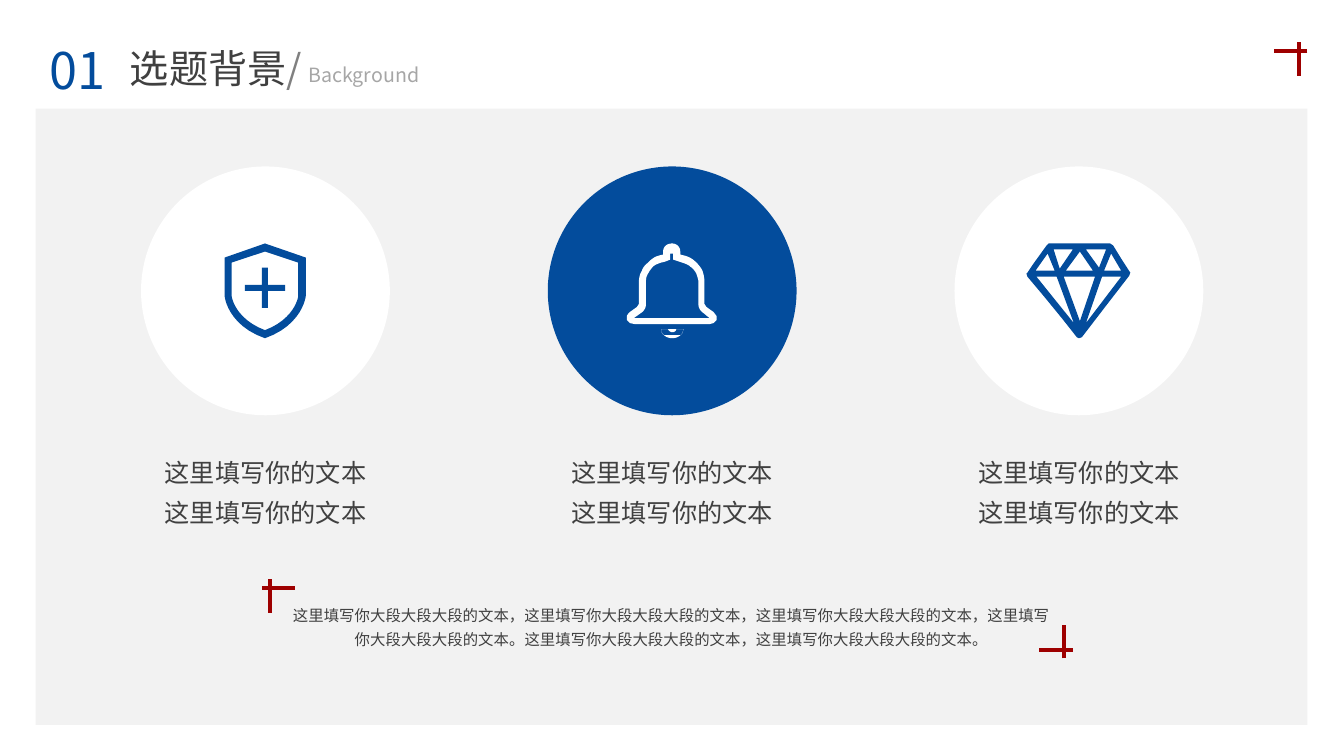
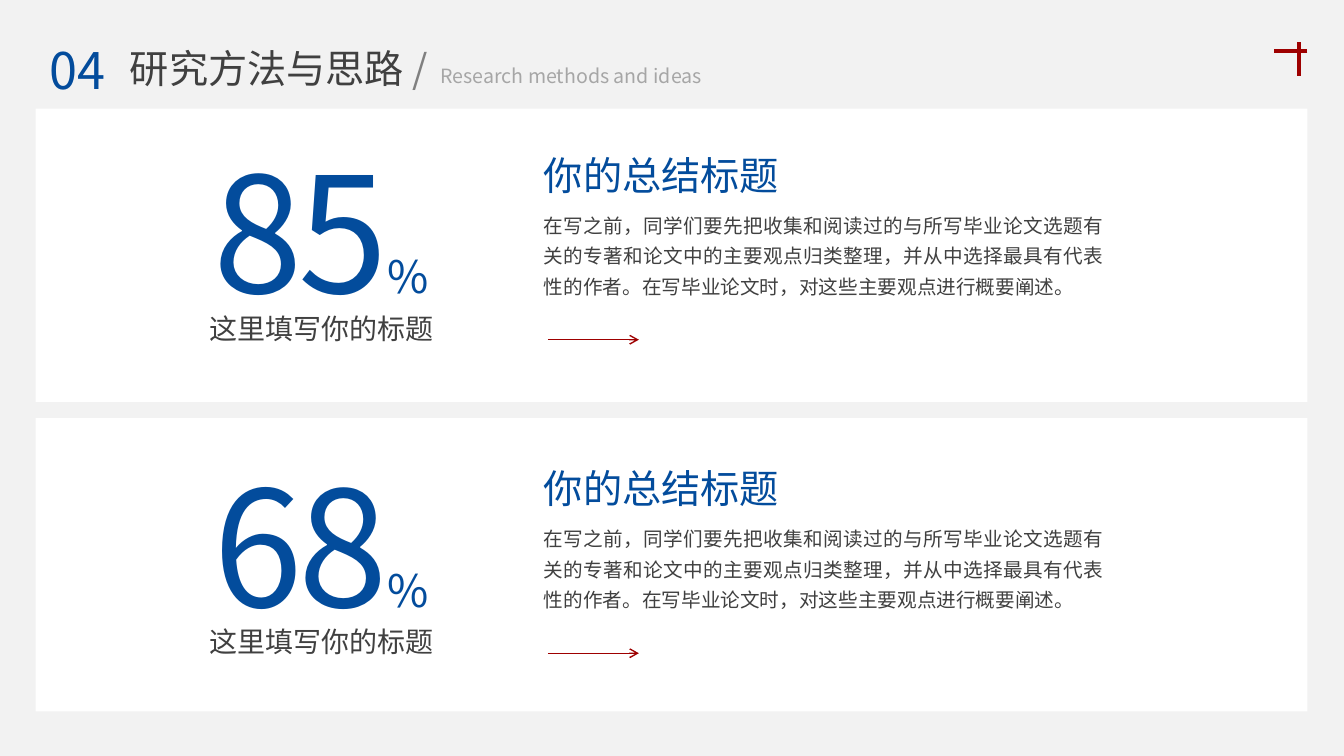
from dataclasses import dataclass

from lxml import etree
from pptx import Presentation
from pptx.dml.color import RGBColor
from pptx.enum.shapes import MSO_CONNECTOR, MSO_SHAPE
from pptx.enum.text import MSO_ANCHOR, MSO_AUTO_SIZE, PP_ALIGN
from pptx.oxml.ns import qn
from pptx.util import Cm, Pt

# Shared look
COLORS = {
    "white": "FFFFFF", "pale": "F2F2F2", "blue": "034C9C", "red": "9E0000",
    "text": "404040", "slash": "808080", "subtitle": "A6A6A6",
}
FONT = "Noto Sans CJK SC"
RECTANGLE, OVAL = MSO_SHAPE.RECTANGLE, MSO_SHAPE.OVAL
STRAIGHT = MSO_CONNECTOR.STRAIGHT
LEFT, CENTER, JUSTIFY = PP_ALIGN.LEFT, PP_ALIGN.CENTER, PP_ALIGN.JUSTIFY
TOP = MSO_ANCHOR.TOP
FIT_SHAPE = MSO_AUTO_SIZE.SHAPE_TO_FIT_TEXT
TITLE_ONLY_LAYOUT = 5
CARD_LEFT, CARD_TOP, CARD_WIDTH = 0.9, 2.74, 32.05
CURVE_STEPS = 12
ICON_UNIT = Cm(0.0254)


@dataclass(frozen=True)
class Box:
    """Left, top, width and height in centimetres."""
    left: float
    top: float
    width: float
    height: float

    def lengths(self) -> tuple:
        return Cm(self.left), Cm(self.top), Cm(self.width), Cm(self.height)


@dataclass(frozen=True)
class Run:
    text: str
    size: float
    color: str = "text"
    spacing: float = 0


@dataclass(frozen=True)
class Header:
    number: str
    title: str
    title_width: float
    subtitle: str
    subtitle_box: Box
    background: str


@dataclass(frozen=True)
class CornerMark:
    """A cross whose long arms point along (toward_x, toward_y)."""
    x: float
    y: float
    toward_x: int
    toward_y: int


@dataclass(frozen=True)
class Icon:
    """Contours of points; six numbers make a cubic curve."""
    width: float
    height: float
    contours: tuple


@dataclass(frozen=True)
class Topic:
    icon: Icon
    circle_color: str
    icon_color: str


SHIELD = Icon(81, 94, (
    ((40, 94), (77, 81, 80.5, 53, 80.5, 52), (80.5, 14), (40, 0), (0, 14),
     (0, 52), (0, 53, 3, 81, 40, 94)),
    ((73, 52), (73, 54, 69, 75, 40, 86), (11, 75, 7, 54, 7, 52), (7, 19),
     (40, 8), (73, 19)),
    ((37, 41), (37, 24), (43, 24), (43, 41), (60, 41), (60, 47), (43, 47),
     (43, 64), (37, 64), (37, 47), (20, 47), (20, 41)),
))
BELL = Icon(90, 94, (
    # Body
    ((10, 63), (3, 68), (2, 69, 1, 70, 0, 72), (0, 76), (3, 79), (8, 80),
     (82, 80), (86, 79), (89, 76), (89, 72), (86, 68), (79, 63), (77, 60),
     (77, 38), (77, 34, 76, 30, 75, 27), (73, 23, 71, 21, 68, 18),
     (65, 15, 61, 13, 57, 12), (53, 11), (53, 8), (53, 3, 49, 0, 45, 0),
     (40, 0, 36, 3, 36, 8), (36, 11), (32, 12), (28, 13, 25, 15, 22, 18),
     (19, 21, 16, 23, 15, 27), (13, 30, 12, 34, 12, 38), (12, 60)),
    # Hollow with its slit
    ((46, 10), (46, 16), (52, 18), (55, 19), (58, 20, 61, 21, 63, 23),
     (66, 25, 68, 28, 69, 30), (70, 33, 71, 36, 71, 38), (71, 60),
     (71, 64, 73, 67, 76, 69), (82, 74), (7, 74), (14, 69),
     (17, 67, 19, 64, 19, 60), (19, 38), (19, 36, 19, 33, 21, 30),
     (22, 28, 24, 25, 26, 23), (28, 21, 31, 20, 34, 19), (38, 18), (43, 16),
     (43, 10)),
    # Clapper
    ((34, 85), (34, 90, 39, 94, 45, 94), (51, 94, 56, 90, 56, 85)),
    ((53, 85), (49, 85), (49, 86, 48, 88, 45, 88), (43, 88, 41, 86, 41, 85),
     (34, 85), (34, 87, 35, 90, 37, 91), (53, 91), (55, 90, 56, 87, 56, 85)),
))
DIAMOND = Icon(104, 94, (
    ((1, 29), (7, 20), (20, 2), (22, 0), (83, 0), (86, 2), (94, 15),
     (103, 29), (102, 32), (78, 63), (55, 93), (52, 94), (50, 93), (35, 74),
     (17, 52), (1, 33), (0, 30)),
    # Facets
    ((9, 27), (28, 27), (21, 10)), ((53, 8), (39, 27), (66, 27)),
    ((37, 33), (53, 77), (68, 33)), ((33, 25), (46, 6), (27, 6)),
    ((72, 24), (79, 6), (59, 6)), ((84, 10), (77, 27), (94, 27)),
    ((75, 33), (59, 79), (94, 33)), ((30, 33), (10, 33), (47, 79)),
))


def rgb(name: str) -> RGBColor:
    return RGBColor.from_string(COLORS[name])


def write_text(shape, paragraphs: list[list[Run]], alignment=LEFT,
               line_spacing: float = 1.0, wrap: bool = True) -> None:
    frame = shape.text_frame
    frame.word_wrap = wrap
    frame.auto_size = FIT_SHAPE
    frame.vertical_anchor = TOP
    for index, runs in enumerate(paragraphs):
        paragraph = frame.add_paragraph() if index else frame.paragraphs[0]
        paragraph.alignment = alignment
        paragraph.line_spacing = line_spacing
        for item in runs:
            run = paragraph.add_run()
            run.text = item.text
            run.font.size = Pt(item.size)
            run.font.name = FONT
            run.font.color.rgb = rgb(item.color)
            properties = run.font._element
            etree.SubElement(properties, qn("a:ea"), typeface=FONT)
            if item.spacing:
                properties.set("spc", str(round(item.spacing * 100)))


def add_text(slide, box: Box, *paragraphs: list[Run], **style) -> None:
    write_text(slide.shapes.add_textbox(*box.lengths()), list(paragraphs), **style)


def paint(shape, color: str) -> None:
    shape.fill.solid()
    shape.fill.fore_color.rgb = rgb(color)
    shape.line.fill.background()
    shape.shadow.inherit = False


def add_filled(slide, kind, box: Box, color: str) -> None:
    paint(slide.shapes.add_shape(kind, *box.lengths()), color)


def add_line(slide, start: tuple, end: tuple, width: float, arrow: bool = False) -> None:
    line = slide.shapes.add_connector(STRAIGHT, *map(Cm, start + end))
    line.line.color.rgb = rgb("red")
    line.line.width = Pt(width)
    if arrow:
        etree.SubElement(line.line._get_or_add_ln(), qn("a:tailEnd"), type="arrow")
    etree.SubElement(line._element.spPr, qn("a:effectLst"))


def add_corner_mark(slide, mark: CornerMark) -> None:
    short, long = 0.21, 0.63
    add_line(slide, (mark.x, mark.y - short * mark.toward_y),
             (mark.x, mark.y + long * mark.toward_y), 3)
    add_line(slide, (mark.x - short * mark.toward_x, mark.y),
             (mark.x + long * mark.toward_x, mark.y), 3)


def flatten(contour: tuple) -> list[tuple]:
    """Turn a contour into points, in EMU."""
    points = [contour[0]]
    for segment in contour[1:]:
        if len(segment) == 2:
            points.append(segment)
            continue
        corners = (points[-1], segment[:2], segment[2:4], segment[4:])
        for step in range(1, CURVE_STEPS + 1):
            t = step / CURVE_STEPS
            weights = ((1 - t) ** 3, 3 * t * (1 - t) ** 2, 3 * t * t * (1 - t), t ** 3)
            points.append(tuple(sum(weight * corner[axis]
                                    for weight, corner in zip(weights, corners))
                                for axis in (0, 1)))
    return [(x * ICON_UNIT, y * ICON_UNIT) for x, y in points]


def add_icon(slide, icon: Icon, center_x: float, center_y: float, color: str) -> None:
    first, *others = [flatten(contour) for contour in icon.contours]
    builder = slide.shapes.build_freeform(*first[0])
    builder.add_line_segments(first[1:])
    for points in others:
        builder.move_to(*points[0])
        builder.add_line_segments(points[1:])
    paint(builder.convert_to_shape(round(Cm(center_x) - icon.width * ICON_UNIT / 2),
                                   round(Cm(center_y) - icon.height * ICON_UNIT / 2)),
          color)


def add_content_slide(presentation, header: Header):
    """Add a slide with its background, number, title and corner mark."""
    slide = presentation.slides.add_slide(presentation.slide_layouts[TITLE_ONLY_LAYOUT])
    slide.background.fill.solid()
    slide.background.fill.fore_color.rgb = rgb(header.background)
    title = slide.shapes.title
    title.left, title.top, title.width, title.height = Box(
        3.02, 0.99, header.title_width, 1.45).lengths()
    write_text(title, [[Run(header.title, 28), Run("/", 28, "slash")]])
    add_text(slide, header.subtitle_box, [Run(header.subtitle, 14, "subtitle")], wrap=False)
    add_text(slide, Box(0.9, 0.86, 2.13, 1.8), [Run(header.number, 36, "blue")],
             alignment=CENTER)
    add_corner_mark(slide, CornerMark(32.74, 1.28, -1, 1))
    return slide


def build_background_slide(presentation) -> None:
    slide = add_content_slide(presentation, Header(
        "01", "选题背景", 5.46, "Background", Box(7.52, 1.45, 3.33, 0.86), "white"))
    add_filled(slide, RECTANGLE, Box(CARD_LEFT, CARD_TOP, CARD_WIDTH, 15.53), "pale")

    # Three topics
    topics = (Topic(SHIELD, "white", "blue"), Topic(BELL, "blue", "white"),
              Topic(DIAMOND, "white", "blue"))
    diameter, caption_width = 6.27, 5.77
    for index, topic in enumerate(topics):
        center_x, center_y = 6.69 + 10.25 * index, 7.33
        add_filled(slide, OVAL, Box(center_x - diameter / 2, center_y - diameter / 2,
                                    diameter, diameter), topic.circle_color)
        add_icon(slide, topic.icon, center_x, center_y, topic.icon_color)
        caption = [Run("这里填写你的文本", 18)]
        add_text(slide, Box(center_x - caption_width / 2, 11.18, caption_width, 2.26),
                 caption, caption, alignment=CENTER, line_spacing=1.3)

    # Framed summary
    clause = "这里填写你大段大段大段的文本"
    summary = "，".join([clause] * 4) + "。" + "，".join([clause] * 2) + "。"
    add_text(slide, Box(6.98, 15.01, 19.89, 1.47), [Run(summary, 11)],
             alignment=CENTER, line_spacing=1.3)
    add_corner_mark(slide, CornerMark(26.82, 16.38, -1, -1))
    add_corner_mark(slide, CornerMark(6.81, 14.81, 1, 1))


def build_methods_slide(presentation) -> None:
    slide = add_content_slide(presentation, Header(
        "04", "研究方法与思路 ", 9.02, "Research methods and ideas",
        Box(10.85, 1.48, 7.16, 0.86), "pale"))
    explanation = ("在写之前，同学们要先把收集和阅读过的与所写毕业论文选题有"
                   "关的专著和论文中的主要观点归类整理，并从中选择最具有代表"
                   "性的作者。在写毕业论文时，对这些主要观点进行概要阐述。")

    # One card per percentage
    for index, percentage in enumerate(("85", "68")):
        add_filled(slide, RECTANGLE,
                   Box(CARD_LEFT, CARD_TOP + 7.8 * index, CARD_WIDTH, 7.39), "white")
        offset = 7.9 * index
        add_text(slide, Box(3.02, 3.22 + offset, 10.16, 5.18),
                 [Run(percentage, 115, "blue", -3), Run("%", 32, "blue", -3)],
                 alignment=CENTER)
        add_text(slide, Box(4.78, 7.72 + offset, 6.65, 1.12),
                 [Run("这里填写你的标题", 20)], alignment=CENTER)
        add_text(slide, Box(13.46, 3.68 + offset, 6.63, 1.45),
                 [Run("你的总结标题", 28, "blue")])
        add_text(slide, Box(13.46, 5.08 + offset, 14.6, 2.59),
                 [Run(explanation, 14)], alignment=JUSTIFY, line_spacing=1.3)
        add_line(slide, (13.81, 8.56 + offset), (16.1, 8.56 + offset), 1, arrow=True)


def main() -> None:
    presentation = Presentation()
    presentation.slide_width, presentation.slide_height = Cm(33.87), Cm(19.05)
    build_background_slide(presentation)
    build_methods_slide(presentation)
    presentation.save("out.pptx")


main()
